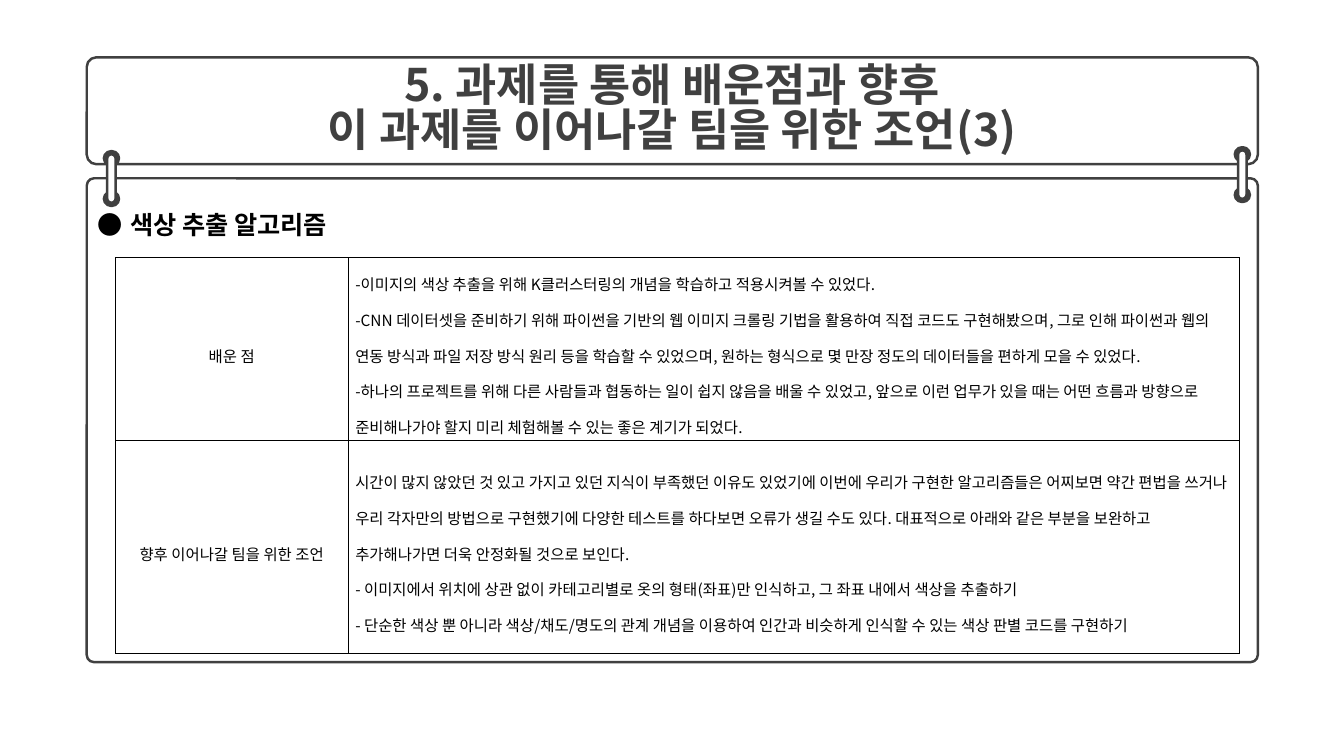
from lxml.etree import SubElement
from pptx import Presentation
from pptx.dml.color import RGBColor
from pptx.enum.shapes import MSO_SHAPE as SHAPE
from pptx.enum.text import MSO_ANCHOR as ANCHOR, MSO_AUTO_SIZE as AUTOSIZE, PP_ALIGN as ALIGN
from pptx.oxml.ns import qn
from pptx.util import Pt

COLORS = {"frame": "404040", "paper": "FFFFFF", "ink": "000000"}
FONT = "Noto Sans CJK KR"

deck = Presentation()
deck.slide_width, deck.slide_height = Pt(960), Pt(540)
slide = deck.slides.add_slide(deck.slide_layouts[1])
title, heading = slide.placeholders


def add_rounded(left, top, width, height, radius, fill):
    shape = slide.shapes.add_shape(SHAPE.ROUNDED_RECTANGLE, Pt(left), Pt(top), Pt(width), Pt(height))
    shape.adjustments[0] = radius
    shape.shadow.inherit = False
    shape.fill.solid()
    shape.fill.fore_color.rgb = RGBColor.from_string(COLORS[fill])
    shape.line.color.rgb = RGBColor.from_string(COLORS["frame"])
    shape.line.width = Pt(1.75)
    return shape


def write(paragraph, text, size, color="ink", bold=False):
    run = paragraph.add_run()
    run.text = text
    run.font.size, run.font.bold, run.font.name = Pt(size), bold, FONT
    run.font.color.rgb = RGBColor.from_string(COLORS[color])
    SubElement(run.font._element, qn("a:ea"), typeface=FONT)


# Title card and content card, behind the placeholders
for top, height, radius in [(41, 76.3, 0.089), (127.4, 345.6, 0.015)]:
    card = add_rounded(62, top, 836.5, height, radius, "paper")
    title.element.addprevious(card.element)

# Binder rings: two holes and a bar on each side
for left, top in [(74.2, 108), (882, 105.2)]:
    for hole_top in (top, top + 29):
        add_rounded(left, hole_top, 10.8, 10.1, 0.5, "frame")
    add_rounded(left + 2.4, top + 2.2, 6, 34.6, 0.5, "paper")

# Title and section heading
for holder, box, anchor in [
    (title, (62, 41, 836.5, 76.3), ANCHOR.MIDDLE),
    (heading, (70, 144, 400, 32), ANCHOR.MIDDLE),
]:
    holder.left, holder.top, holder.width, holder.height = map(Pt, box)
    frame = holder.text_frame
    frame.auto_size, frame.word_wrap, frame.vertical_anchor = AUTOSIZE.NONE, True, anchor
    frame.margin_left = frame.margin_right = frame.margin_top = frame.margin_bottom = 0

title_lines = ["5. 과제를 통해 배운점과 향후", "이 과제를 이어나갈 팀을 위한 조언(3)"]
for index, text in enumerate(title_lines):
    line = title.text_frame.add_paragraph() if index else title.text_frame.paragraphs[0]
    line.alignment, line.line_spacing = ALIGN.CENTER, 0.83
    write(line, text, 32, "frame", True)

topic = heading.text_frame.paragraphs[0]
topic.space_before = Pt(0)
write(topic, "색상 추출 알고리즘", 18, bold=True)
topic_format = topic._p.get_or_add_pPr()
topic_format.set("marL", str(Pt(23)))
topic_format.set("indent", str(Pt(-23)))
SubElement(topic_format, qn("a:buFont"), typeface=FONT)
SubElement(topic_format, qn("a:buChar"), char="●")

# Lessons and advice table
rows = [
    ("배운 점", [
        "-이미지의 색상 추출을 위해 K클러스터링의 개념을 학습하고 적용시켜볼 수 있었다.",
        "-CNN 데이터셋을 준비하기 위해 파이썬을 기반의 웹 이미지 크롤링 기법을 활용하여 직접 코드도 "
        "구현해봤으며, 그로 인해 파이썬과 웹의 연동 방식과 파일 저장 방식 원리 등을 학습할 수 있었으며, "
        "원하는 형식으로 몇 만장 정도의 데이터들을 편하게 모을 수 있었다.",
        "-하나의 프로젝트를 위해 다른 사람들과 협동하는 일이 쉽지 않음을 배울 수 있었고, 앞으로 이런 "
        "업무가 있을 때는 어떤 흐름과 방향으로 준비해나가야 할지 미리 체험해볼 수 있는 좋은 계기가 되었다.",
    ]),
    ("향후 이어나갈 팀을 위한 조언", [
        "시간이 많지 않았던 것 있고 가지고 있던 지식이 부족했던 이유도 있었기에 이번에 우리가 구현한 "
        "알고리즘들은 어찌보면 약간 편법을 쓰거나 우리 각자만의 방법으로 구현했기에 다양한 테스트를 "
        "하다보면 오류가 생길 수도 있다. 대표적으로 아래와 같은 부분을 보완하고 추가해나가면 더욱 "
        "안정화될 것으로 보인다.",
        "- 이미지에서 위치에 상관 없이 카테고리별로 옷의 형태(좌표)만 인식하고, 그 좌표 내에서 색상을 추출하기",
        "- 단순한 색상 뿐 아니라 색상/채도/명도의 관계 개념을 이용하여 인간과 비슷하게 인식할 수 있는 "
        "색상 판별 코드를 구현하기",
    ]),
]
lessons = slide.shapes.add_table(2, 2, Pt(82.4), Pt(183.8), Pt(802.8), Pt(277.2)).table
lessons.first_row = lessons.horz_banding = False
for column, width in zip(lessons.columns, (166.3, 636.5)):
    column.width = Pt(width)
for row, height in zip(lessons.rows, (124.6, 152.6)):
    row.height = Pt(height)

for row_index, (label, notes) in enumerate(rows):
    for column_index, texts in enumerate(([label], notes)):
        cell = lessons.cell(row_index, column_index)
        cell.vertical_anchor = ANCHOR.MIDDLE
        cell.margin_left = cell.margin_right = Pt(5.1)
        cell.margin_top = cell.margin_bottom = Pt(1.4)
        for index, text in enumerate(texts):
            note = cell.text_frame.add_paragraph() if index else cell.text_frame.paragraphs[0]
            note.alignment = ALIGN.LEFT if column_index else ALIGN.CENTER
            note.line_spacing = 1.6
            write(note, text, 11)
        cell_format = cell._tc.get_or_add_tcPr()
        for side in ("a:lnL", "a:lnR", "a:lnT", "a:lnB"):
            border = SubElement(cell_format, qn(side), w=str(Pt(0.28)))
            SubElement(SubElement(border, qn("a:solidFill")), qn("a:srgbClr"), val=COLORS["ink"])
        cell.fill.background()

deck.save("out.pptx")
